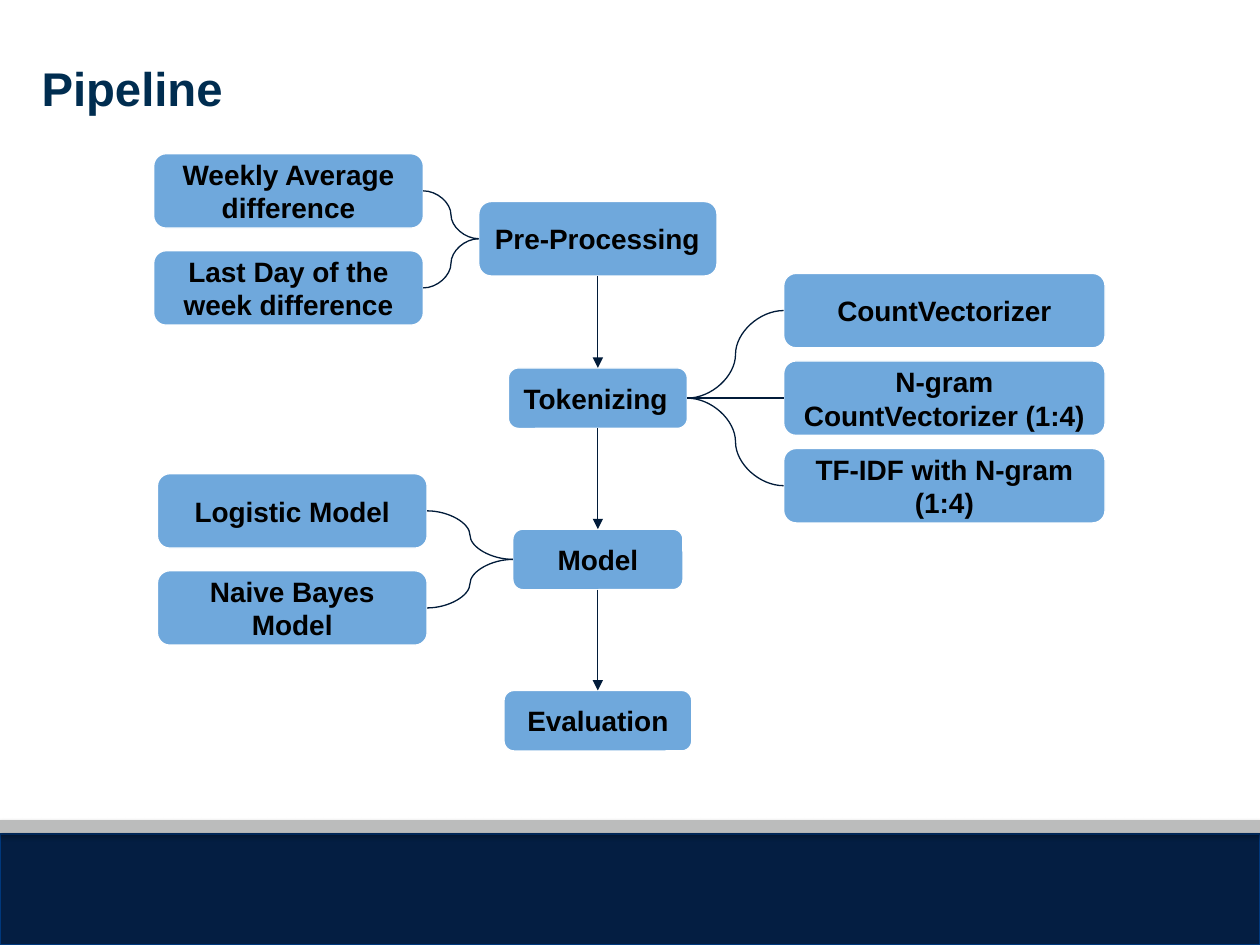
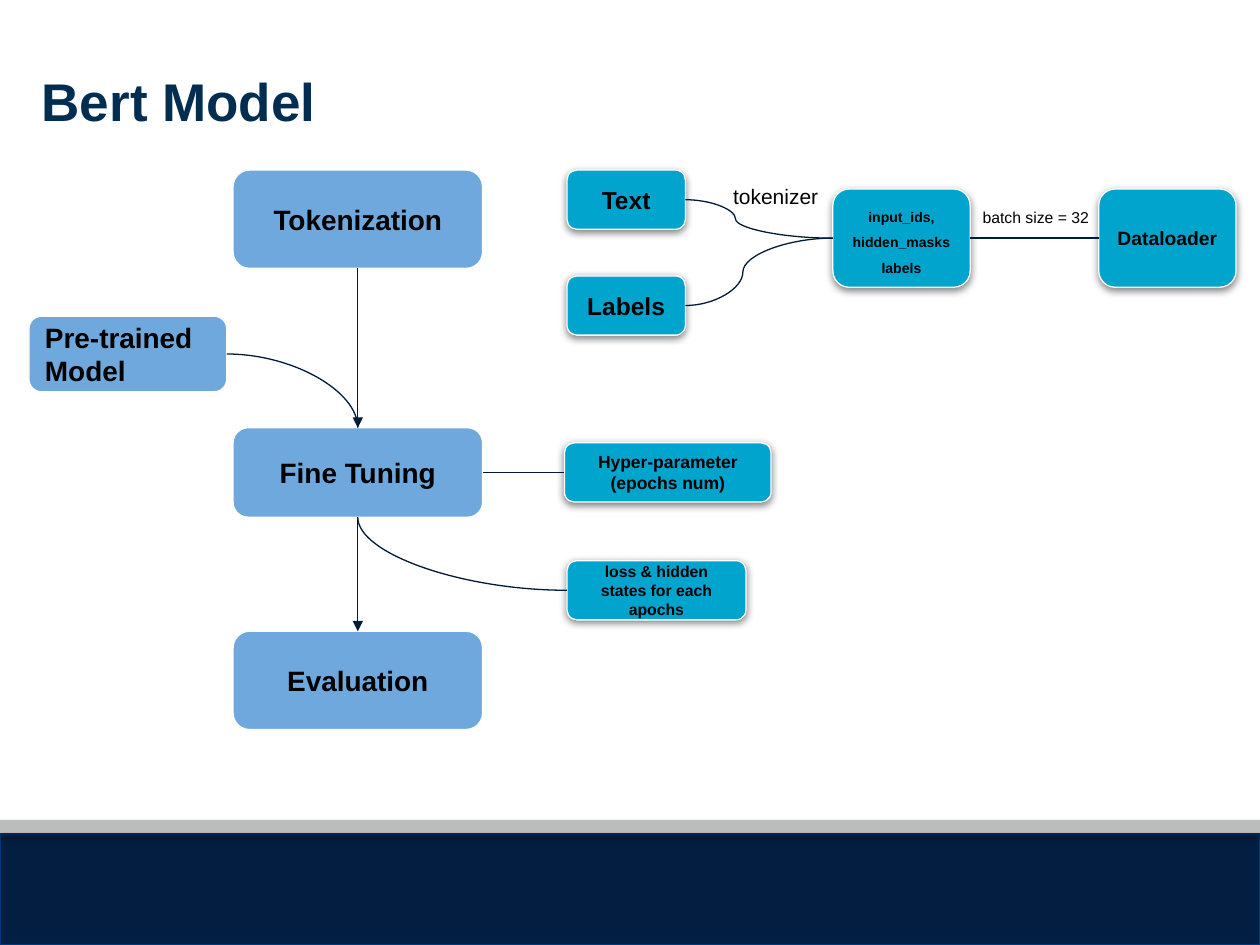
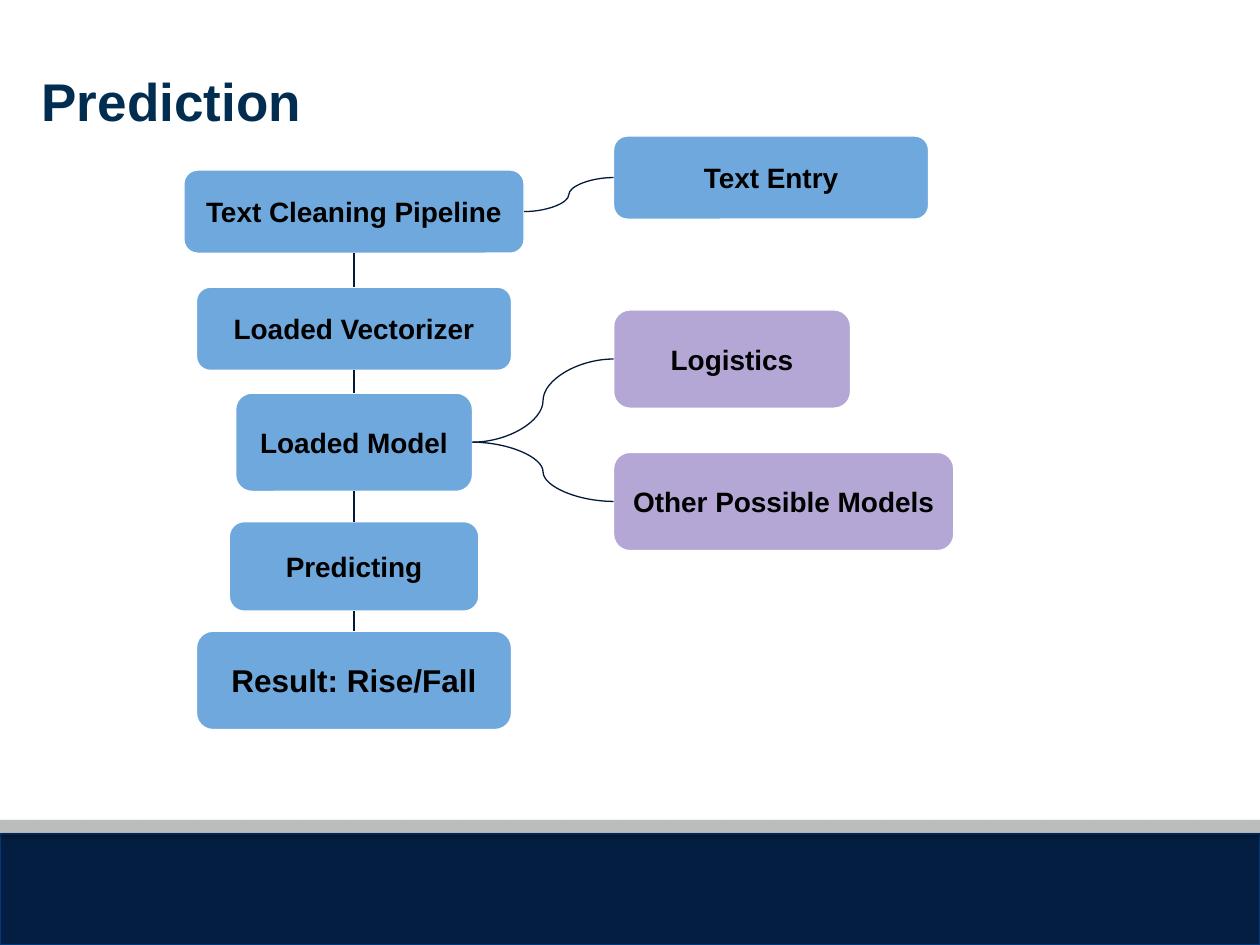
from itertools import pairwise
from lxml import etree
from pptx import Presentation
from pptx import util as u
from pptx.dml.color import RGBColor
from pptx.enum import shapes, text
from pptx.oxml import ns

HUES = {"title": "002D50", "ink": "000000", "box": "6FA8DC", "step": "00A4CC",
        "plan": "B4A7D6", "edge": "FFFFFF", "link": "011B39",
        "base": "041E42", "rim": "00387C", "rule": "BBBCBC"}
FONT = "Arial"
COLS, ROWS = 100, 75
TOP, LEFT, BOTTOM, RIGHT = range(4)
ALIGN, ANCHOR = text.PP_ALIGN, text.MSO_ANCHOR
SHAPE, LINK = shapes.MSO_SHAPE, shapes.MSO_CONNECTOR


def hue(name):
    return RGBColor.from_string(HUES[name])


def add(root, tag, **attrs):
    return etree.SubElement(root, ns.qn(tag), attrs)


def write(frame, words, size=16, bold=True, color="ink", align=ALIGN.CENTER,
          anchor=ANCHOR.MIDDLE, space=None, pad=(0.1, 0.1, 0.1, 0.1)):
    frame.word_wrap = True
    frame.auto_size = text.MSO_AUTO_SIZE.NONE
    frame.vertical_anchor = anchor
    (frame.margin_left, frame.margin_top,
     frame.margin_right, frame.margin_bottom) = map(u.Inches, pad)
    for i, line in enumerate(words.split("\n")):
        para = frame.add_paragraph() if i else frame.paragraphs[0]
        para.add_run().text = line
        para.alignment = align
        para.space_before = u.Pt(0)
        if space:
            para.line_spacing = space
        font = para.runs[0].font
        font.name, font.size, font.bold = FONT, u.Pt(size), bold
        font.color.rgb = hue(color)


def side(box, site):
    mid, half = box.left + box.width // 2, box.top + box.height // 2
    return {TOP: (mid, box.top), LEFT: (box.left, half),
            BOTTOM: (mid, box.top + box.height),
            RIGHT: (box.left + box.width, half)}[site]


class Deck:
    def __init__(self):
        self.prs = Presentation()
        self.prs.slide_width, self.prs.slide_height = u.Inches(10), u.Inches(7.5)
        self.plan = self.prs.slide_layouts[5]
        self.slide = None

    def span(self, x, y, w, h):
        wide, high = self.prs.slide_width, self.prs.slide_height
        return (round(x * wide / COLS), round(y * high / ROWS),
                round(w * wide / COLS), round(h * high / ROWS))

    def page(self, title, size=30.3, high=7.1, space=1.15):
        first = self.slide is None
        self.slide = self.prs.slides.add_slide(self.plan)
        if first:
            self.bands()
        head = self.slide.shapes.title
        head.left, head.top, head.width, head.height = self.span(2.3, 3.7, 95, high)
        write(head.text_frame, title, size=size, color="title", align=ALIGN.LEFT,
              anchor=ANCHOR.TOP, space=space, pad=(0.1, 0.1, 0.1, 0.05))

    def bands(self):
        parts = ((66.2, 8.8, "base", "rim"), (65.1, 1, "rule", None))
        for num, (y, h, fill, edge) in enumerate(parts, 50):
            band = self.shape(SHAPE.RECTANGLE, 0, y, COLS, h, fill, edge, (35, 3.1, 1.8))
            band.element.nvSpPr.cNvPr.set("id", str(num))
            self.plan.shapes.element.append(band.element)

    def shape(self, kind, x, y, w, h, fill, edge, shade=None):
        item = self.slide.shapes.add_shape(kind, *self.span(x, y, w, h))
        item.fill.solid()
        item.fill.fore_color.rgb = hue(fill)
        if edge:
            item.line.color.rgb = hue(edge)
            item.line.width = u.Pt(0.75)
        else:
            item.line.fill.background()
        item.shadow.inherit = False
        if shade:
            alpha, blur, dist = shade
            fx = item.element.spPr.find(ns.qn("a:effectLst"))
            cast = add(fx, "a:outerShdw", blurRad=str(u.Pt(blur)), dist=str(u.Pt(dist)),
                       dir="5400000", algn="bl", rotWithShape="0")
            tint = add(cast, "a:srgbClr", val=HUES["ink"])
            add(tint, "a:alpha", val=str(alpha * 1000))
        return item

    def box(self, words, x, y, w, h, fill="box", shade=None, **form):
        item = self.shape(SHAPE.FLOWCHART_ALTERNATE_PROCESS, x, y, w, h,
                          fill, "edge", shade)
        write(item.text_frame, words, **form)
        return item

    def step(self, words, x, y, w, h, **form):
        return self.box(words, x, y, w, h, fill="step", shade=(50, 4.5, 1.5), **form)

    def note(self, words, x, y, w, h, size):
        item = self.slide.shapes.add_textbox(*self.span(x, y, w, h))
        write(item.text_frame, words, size=size, bold=False,
              align=ALIGN.LEFT, anchor=ANCHOR.TOP)

    def wire(self, kind, start, end):
        item = self.slide.shapes.add_connector(kind, *start, *end)
        item.line.color.rgb = hue("link")
        item.line.width = u.Pt(0.75)
        add(item.element.spPr, "a:effectLst")
        return item

    def join(self, a, b, out=RIGHT, into=LEFT, arrow=False):
        item = self.wire(LINK.STRAIGHT, side(a, out), side(b, into))
        item.begin_connect(a, out)
        item.end_connect(b, into)
        if arrow:
            add(item.element.spPr.find(ns.qn("a:ln")), "a:tailEnd", type="triangle")

    def curve(self, a, b, out=RIGHT, into=LEFT, bend=None, quarter=False):
        item = self.wire(LINK.CURVE, side(a, out), side(b, into))
        geom = item.element.spPr.find(ns.qn("a:prstGeom"))
        if quarter:
            geom.set("prst", "curvedConnector2")
        if bend:
            guides = geom.find(ns.qn("a:avLst"))
            add(guides, "a:gd", name="adj1", fmla=f"val {round(bend * 100000)}")

    def chain(self, mid, rows, arrow=False):
        items = [self.box(words, mid - w / 2, y, w, h, **form)
                 for words, y, w, h, form in rows]
        for a, b in pairwise(items):
            self.join(a, b, BOTTOM, TOP, arrow)
        return items

    def fan(self, hub, names, x, y, w, h, pitch, out):
        for i, name in enumerate(names):
            leaf = self.box(name, x, y + i * pitch, w, h)
            centre = i * 2 == len(names) - 1
            draw = self.join if centre else self.curve
            draw(hub, leaf, out, LEFT if out == RIGHT else RIGHT)


def pipeline(deck):
    deck.page("Pipeline", size=27, high=9.6, space=None)
    left = {"align": ALIGN.LEFT}
    prep, token, model, _ = deck.chain(47.45, [
        ("Pre-Processing", 16, 18.9, 5.9, left),
        ("Tokenizing", 29.2, 14.2, 4.8, left),
        ("Model", 42, 13.5, 4.8, {}),
        ("Evaluation", 54.8, 14.9, 4.8, {})], arrow=True)
    deck.fan(prep, ["Weekly Average difference", "Last Day of the week difference"],
             12.2, 12.2, 21.4, 5.9, 7.7, LEFT)
    deck.fan(token, ["CountVectorizer", "N-gram CountVectorizer (1:4)",
                     "TF-IDF with N-gram (1:4)"],
             62.2, 21.7, 25.5, 5.9, 6.95, RIGHT)
    deck.fan(model, ["Logistic Model", "Naive Bayes Model"],
             12.5, 37.6, 21.4, 5.9, 7.7, LEFT)


def bert(deck):
    deck.page("Bert Model")
    _, tune, _ = deck.chain(28.4, [
        ("Tokenization", 13.5, 19.8, 7.8, {}),
        ("Fine Tuning", 33.95, 19.8, 7.1, {}),
        ("Evaluation", 50.1, 19.8, 7.8, {})], arrow=True)
    base = deck.box("Pre-trained\nModel", 2.3, 25.1, 15.7, 6, align=ALIGN.LEFT)
    deck.curve(base, tune, RIGHT, TOP, quarter=True)

    ids = deck.step("input_ids,\nhidden_masks\nlabels", 66.1, 15, 10.9, 7.8,
                    size=8, space=1.5)
    for words, y, bend in (("Text", 13.5, 0.34), ("Labels", 21.9, 0.39)):
        deck.curve(deck.step(words, 45, y, 9.4, 4.7, size=14), ids, bend=bend)
    load = deck.step("Dataloader", 87.2, 15, 10.9, 7.8, size=11)
    deck.join(ids, load)
    deck.note("tokenizer", 57.2, 13.6, 9.9, 4, 12)
    deck.note("batch size = 32", 77, 15.5, 13, 3.5, 9)

    hyper = deck.step("Hyper-parameter\n(epochs num)", 44.8, 35.15, 16.4, 4.7, size=10)
    deck.join(tune, hyper)
    loss = deck.step("loss & hidden states for each apochs", 45, 44.5, 14.2, 4.7, size=9)
    deck.curve(loss, tune, LEFT, BOTTOM, quarter=True)


def predict(deck):
    deck.page("Prediction")
    clean, _, model, _, _ = deck.chain(28.1, [
        ("Text Cleaning Pipeline", 13.5, 27, 6.6, {}),
        ("Loaded Vectorizer", 22.8, 25, 6.6, {}),
        ("Loaded Model", 31.2, 18.8, 7.8, {}),
        ("Predicting", 41.4, 19.8, 7.1, {}),
        ("Result: Rise/Fall", 50.1, 25, 7.8, {"size": 18})])
    for hub, words, y, w, h, fill in (
            (clean, "Text Entry", 10.8, 25, 6.6, "box"),
            (model, "Logistics", 24.6, 18.8, 7.8, "plan"),
            (model, "Other Possible Models", 35.9, 27, 7.8, "plan")):
        deck.curve(hub, deck.box(words, 48.7, y, w, h, fill=fill))


def main():
    deck = Deck()
    for draw in (pipeline, bert, predict):
        draw(deck)
    deck.prs.save("out.pptx")


if __name__ == "__main__":
    main()
